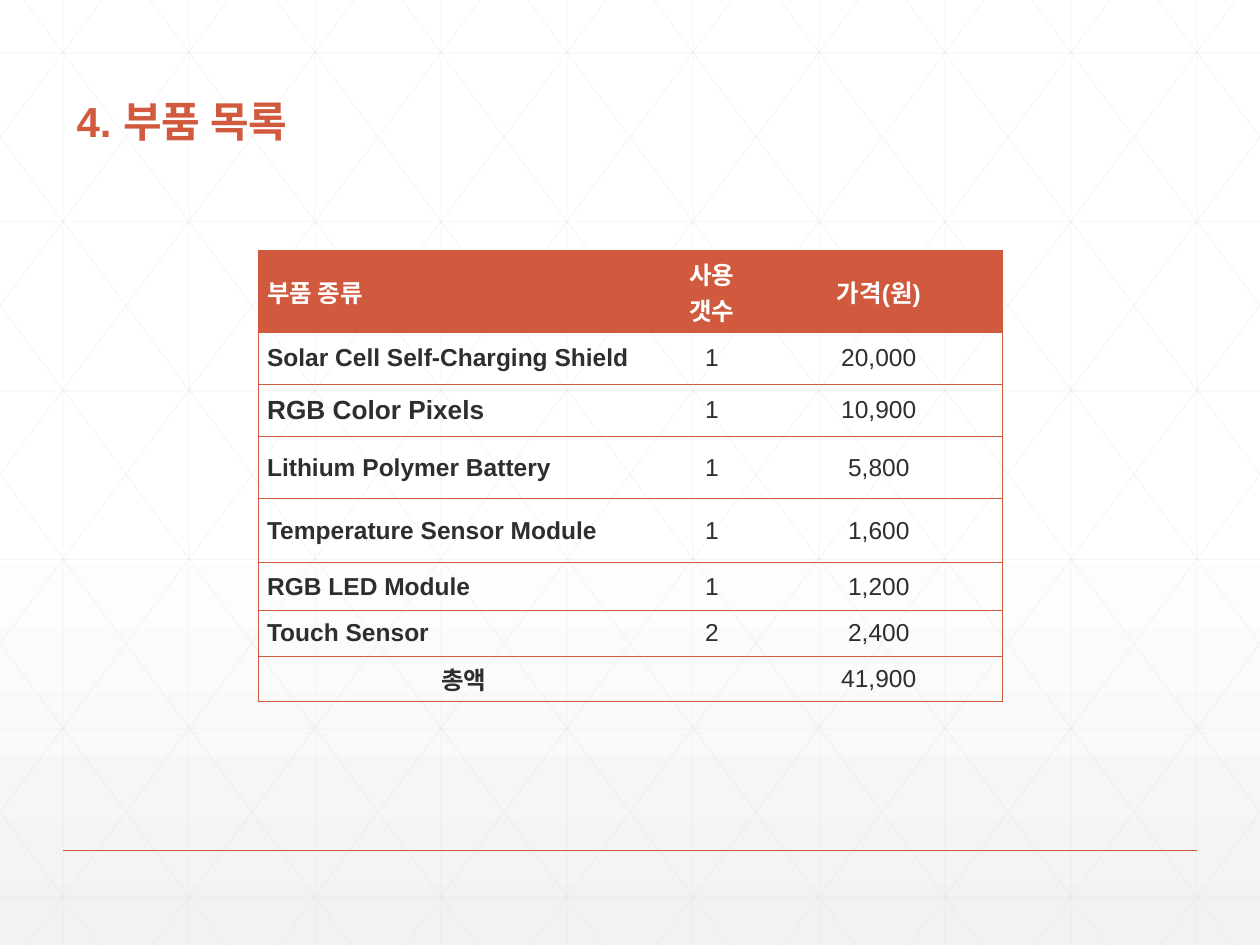
from lxml import etree
from pptx import Presentation, util as u
from pptx.dml.color import RGBColor
from pptx.enum import shapes, text
from pptx.oxml.ns import qn

# Content
TITLE = "4. 부품 목록"
HEADER = ("부품 종류", "사용 갯수", "가격(원)")
PARTS = [
    ("Solar Cell Self-Charging Shield", "1", "20,000"),
    ("RGB Color Pixels", "1", "10,900"),
    ("Lithium Polymer Battery", "1", "5,800"),
    ("Temperature Sensor Module", "1", "1,600"),
    ("RGB LED Module", "1", "1,200"),
    ("Touch Sensor", "2", "2,400"),
]
TOTAL = ("총액", "", "41,900")
ROWS = [HEADER, *PARTS, TOTAL]

# Theme and layout
THEME = dict(font="Arial", accent="D15A3E", ink="2D2E2D", white="FFFFFF",
             shade="F2F2F2", grid="D9D9D9", title=24, body=14, large=15)
W, H = 10, 7.5
MARGIN = 0.05 * W
COL_W = (3.26, 0.68, 1.97)
ROW_H = (0.53, 0.41, 0.42, 0.49, 0.51, 0.38, 0.36, 0.31)
STEP_X, STEP_Y = 1, 1.34              # lattice cell
GRID_Y0, DIAGONAL_X0 = 0.42, 0.19
SLOPE = STEP_Y / STEP_X


def color(name):
    return RGBColor.from_string(THEME[name])


def style(p, size, ink, bold=False, align=None):
    p.font.name, p.font.size, p.font.bold = THEME["font"], u.Pt(THEME[size]), bold
    p.font.color.rgb = color(ink)
    p.alignment = align


def add_line(parent, start, end, ink, width, opacity=None):
    ends = [u.Inches(v) for v in (*start, *end)]
    ln = parent.add_connector(shapes.MSO_CONNECTOR.STRAIGHT, *ends)
    ln.line.color.rgb, ln.line.width = color(ink), u.Pt(width)
    if opacity:
        clr = ln._element.spPr.find(".//" + qn("a:srgbClr"))
        etree.SubElement(clr, qn("a:alpha"), val=str(opacity * 1000))
    etree.SubElement(ln._element.spPr, qn("a:effectLst"))


def lattice():
    """Vertical, horizontal and mirrored diagonal lines, cut at the slide edges."""
    for i in range(10):
        x = MARGIN + i * STEP_X
        yield (x, 0), (x, H)
    for i in range(6):
        y = GRID_Y0 + i * STEP_Y
        yield (0, y), (W, y)
    for i in range(-5, 10):
        x0 = DIAGONAL_X0 + i * STEP_X
        left, right = max(0, x0), min(W, x0 + H / SLOPE)
        top, bottom = (left - x0) * SLOPE, (right - x0) * SLOPE
        yield (left, top), (right, bottom)
        yield (W - left, top), (W - right, bottom)


def set_borders(cell, visible):
    tc_pr = cell._tc.get_or_add_tcPr()
    for i, side in enumerate("LRTB"):
        ln = etree.Element(qn("a:ln" + side), w=str(u.Pt(0.5)))
        if side in visible:
            fill = etree.SubElement(ln, qn("a:solidFill"))
            etree.SubElement(fill, qn("a:srgbClr"), val=THEME["accent"])
        else:
            etree.SubElement(ln, qn("a:noFill"))
        tc_pr.insert(i, ln)


prs = Presentation()
prs.slide_width, prs.slide_height = u.Inches(W), u.Inches(H)
s = prs.slides.add_slide(prs.slide_layouts[6])

# Background: gradient, lattice and footer rule
bg = s.background.fill
bg.gradient()
bg.gradient_angle = 270
for stop, (pos, name) in zip(bg.gradient_stops, ((0.53, "white"), (1, "shade"))):
    stop.position, stop.color.rgb = pos, color(name)
grid = s.shapes.add_group_shape()
for start, end in lattice():
    add_line(grid.shapes, start, end, "grid", 0.5, opacity=25)
add_line(s.shapes, (MARGIN, 0.9 * H), (W - MARGIN, 0.9 * H), "accent", 1)

# Parts table
frame = s.shapes.add_table(len(ROWS), len(COL_W), u.Inches(2.05), u.Inches(1.99),
                           u.Inches(sum(COL_W)), u.Inches(sum(ROW_H)))
table = frame.table
table.horz_banding = False
for col, width in zip(table.columns, COL_W):
    col.width = u.Inches(width)
for r, (row, height, values) in enumerate(zip(table.rows, ROW_H, ROWS)):
    row.height = u.Inches(height)
    for c, (cell, value) in enumerate(zip(row.cells, values)):
        head = r == 0
        cell.text = value
        cell.vertical_anchor = text.MSO_ANCHOR.MIDDLE
        cell.margin_left = cell.margin_right = u.Inches(0.07)
        cell.margin_top = cell.margin_bottom = u.Inches(0.04)
        centred = c > 0 or values is TOTAL
        style(cell.text_frame.paragraphs[0],
              "large" if value == "RGB Color Pixels" else "body",
              "white" if head else "ink", bold=head or c == 0,
              align=text.PP_ALIGN.CENTER if centred else text.PP_ALIGN.LEFT)
        if head:
            cell.fill.solid()
            cell.fill.fore_color.rgb = color("accent")
        else:
            cell.fill.background()
        set_borders(cell, "TB" + ("L", "", "R")[c])

# Title
sp = s.shapes.add_textbox(*(u.Inches(v) for v in (0.51, 0.61, 2.35, 0.6)))
tf = sp.text_frame
tf.word_wrap, tf.vertical_anchor = True, text.MSO_ANCHOR.BOTTOM
p = tf.paragraphs[0]
p.text, p.line_spacing = TITLE, 0.9
style(p, "title", "accent", bold=True)

prs.save("out.pptx")
